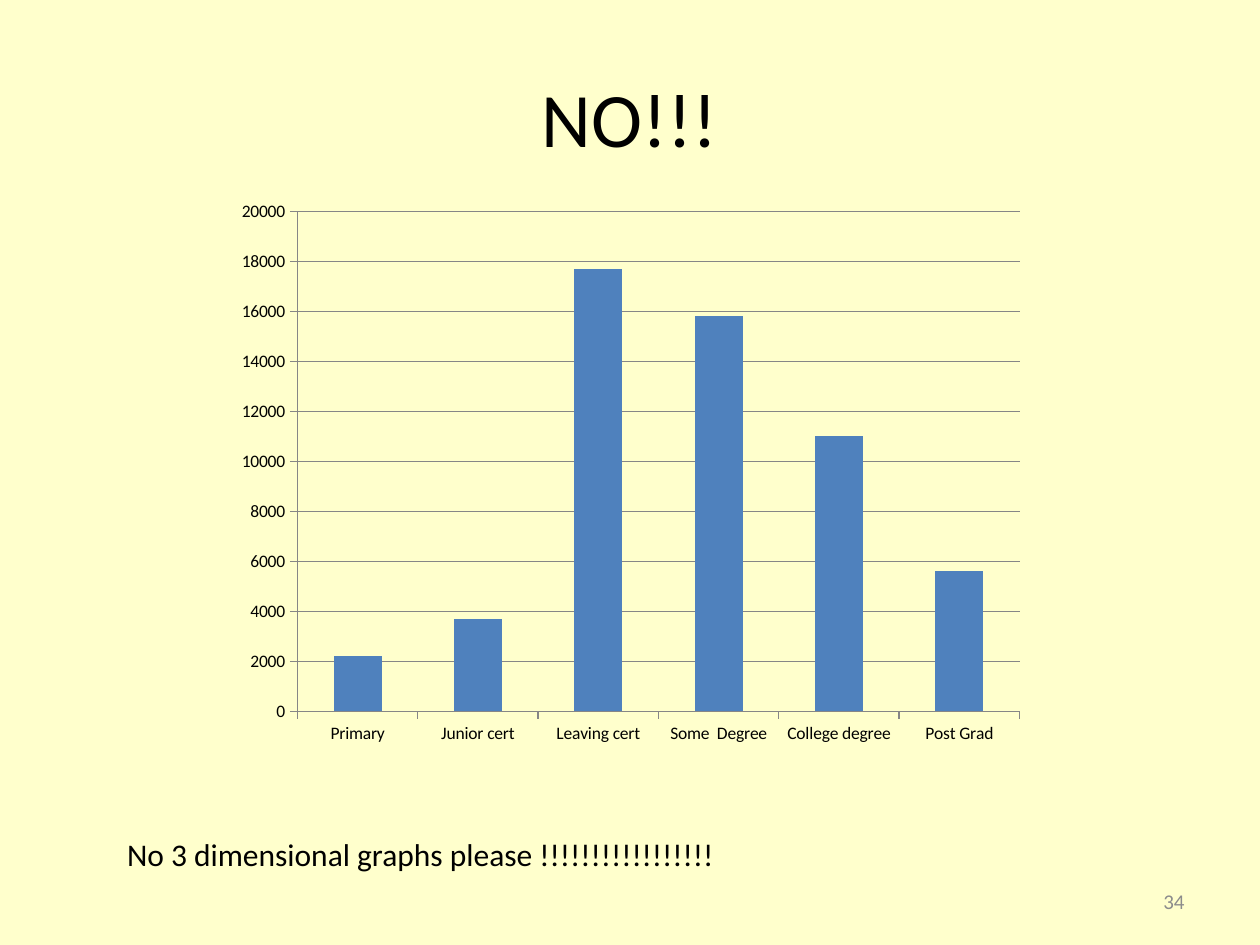
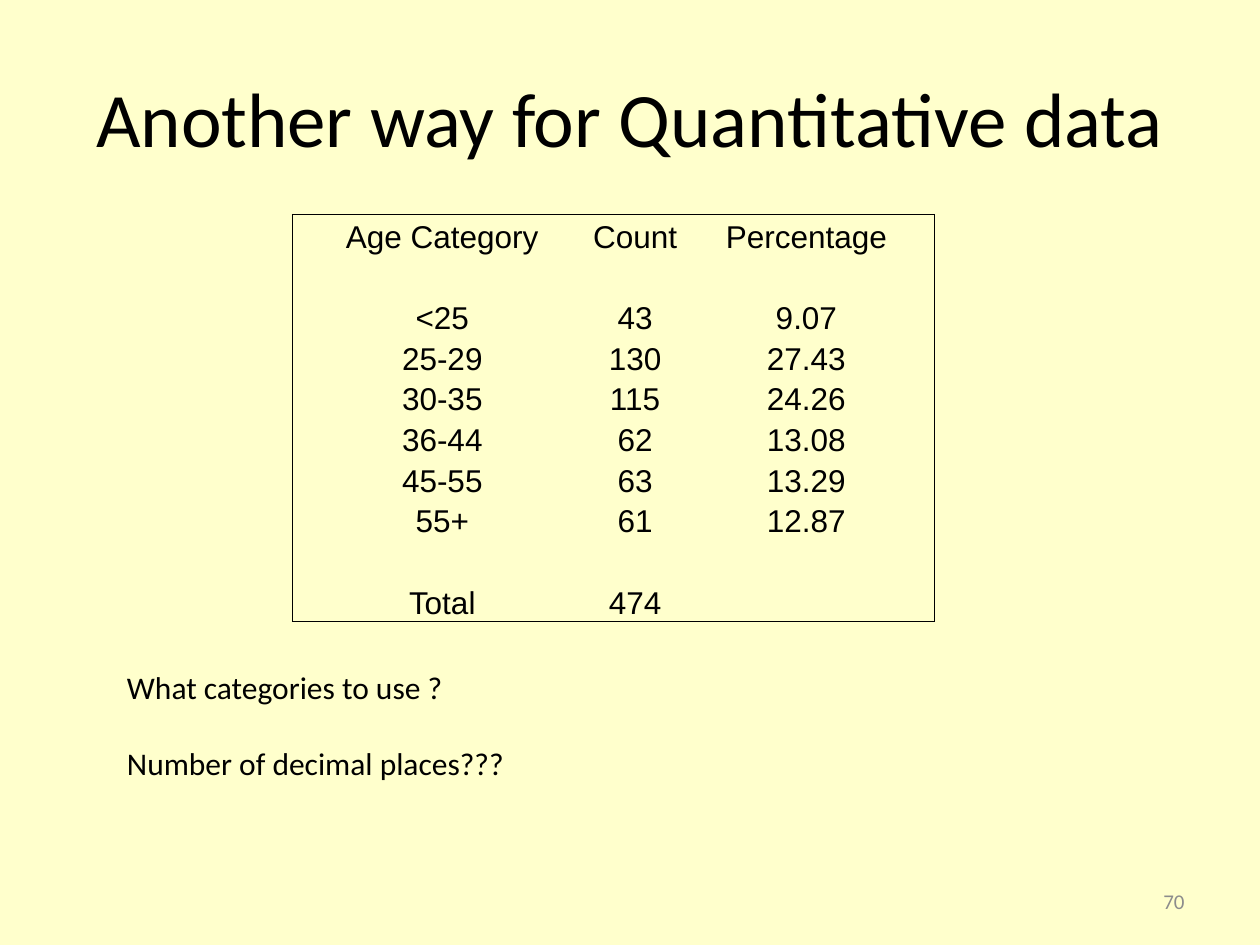
from dataclasses import dataclass
from lxml.etree import SubElement
from pptx import Presentation
from pptx.chart.data import CategoryChartData as ChartData
from pptx.dml.color import RGBColor as RGB
from pptx.enum.chart import XL_CHART_TYPE as Kind, XL_TICK_MARK as Tick
from pptx.enum.text import MSO_ANCHOR as Anchor, PP_ALIGN as Align
from pptx.oxml.ns import qn
from pptx.util import Inches, Pt


@dataclass(frozen=True)
class Theme:
    page: RGB = RGB(0xFF, 0xFF, 0xCC)
    ink: RGB = RGB(0, 0, 0)
    faint: RGB = RGB(0x8C, 0x8C, 0x8C)
    axis: RGB = RGB(0x86, 0x86, 0x86)
    bar: RGB = RGB(0x4F, 0x81, 0xBD)
    font: str = "Calibri"
    grid_font: str = "Arial"
    title: int = 44
    text: int = 18
    foot: int = 12
    label: int = 10
    rule: float = 0.5


theme = Theme()

LEVELS = [
    ("Primary", 2200),
    ("Junior cert", 3700),
    ("Leaving cert", 17700),
    ("Some  Degree", 15800),
    ("College degree", 11000),
    ("Post Grad", 5600),
]
AGES = [
    ("Age Category", "Count", "Percentage"),
    ("", "", ""),
    ("<25", "43", "9.07"),
    ("25-29", "130", "27.43"),
    ("30-35", "115", "24.26"),
    ("36-44", "62", "13.08"),
    ("45-55", "63", "13.29"),
    ("55+", "61", "12.87"),
    ("", "", ""),
    ("Total", "474", ""),
]
WIDTHS = [2.38, 0.68, 2.04]
CHART_BOX = (1.79, 1.51, 6.43, 4.48)
TABLE_BOX = (2.32, 1.7, sum(WIDTHS), 3.23)
FOOT_BOX = (7.17, 6.95, 2.33, 0.4)


def place(box):
    return [Inches(n) for n in box]


def style(font, size, color=theme.ink, name=theme.font):
    font.size = Pt(size)
    font.name = name
    font.color.rgb = color


def style_runs(para, *look):
    for run in para.runs:
        style(run.font, *look)


def add_text(slide, box, lines, size=theme.text, color=theme.ink,
             align=Align.LEFT, anchor=Anchor.TOP, wrap=False):
    frame = slide.shapes.add_textbox(*place(box)).text_frame
    frame.word_wrap = wrap
    frame.vertical_anchor = anchor
    frame.text = "\n".join(lines)
    for i, para in enumerate(frame.paragraphs):
        para.alignment = align
        if i:
            para.space_before = Pt(size * 1.22)
        style_runs(para, size, color)


def add_slide(deck, title, number):
    slide = deck.slides.add_slide(deck.slide_layouts[5])
    fill = slide.background.fill
    fill.solid()
    fill.fore_color.rgb = theme.page
    head = slide.shapes.title
    head.left, head.top, head.width, head.height = place((0.5, 0.3, 9, 1.25))
    head.text_frame.text = title
    head.text_frame.vertical_anchor = Anchor.MIDDLE
    para = head.text_frame.paragraphs[0]
    para.alignment = Align.CENTER
    style_runs(para, theme.title)
    add_text(slide, FOOT_BOX, [number], theme.foot, theme.faint,
             Align.RIGHT, Anchor.MIDDLE, True)
    return slide


def draw_line(line):
    line.color.rgb = theme.axis
    line.width = Pt(0.75)


def add_bars(slide):
    names, counts = zip(*LEVELS)
    data = ChartData()
    data.categories = names
    data.add_series("Series 1", counts)
    chart = slide.shapes.add_chart(
        Kind.COLUMN_CLUSTERED, *place(CHART_BOX), data).chart
    chart.has_legend = chart.has_title = False
    style(chart.font, theme.label)
    for axis in (chart.category_axis, chart.value_axis):
        axis.major_tick_mark = Tick.OUTSIDE
        axis.minor_tick_mark = Tick.NONE
        draw_line(axis.format.line)
    scale = chart.value_axis
    scale.minimum_scale, scale.maximum_scale = 0, 20000
    scale.major_unit = 2000
    scale.has_major_gridlines = True
    draw_line(scale.major_gridlines.format.line)
    plot = chart.plots[0]
    plot.gap_width = 150
    plot.vary_by_categories = False
    fill = plot.series[0].format.fill
    fill.solid()
    fill.fore_color.rgb = theme.bar


def set_edges(cell, edges):
    props = cell._tc.get_or_add_tcPr()
    for side, shown in edges.items():
        line = SubElement(props, qn("a:ln" + side), w=str(Pt(theme.rule)))
        if shown:
            fill = SubElement(line, qn("a:solidFill"))
            SubElement(fill, qn("a:srgbClr"), val=str(theme.ink))
        else:
            SubElement(line, qn("a:noFill"))


def add_ages(slide):
    rows, cols = len(AGES), len(WIDTHS)
    table = slide.shapes.add_table(rows, cols, *place(TABLE_BOX)).table
    table.first_row = table.horz_banding = False
    for col, width in zip(table.columns, WIDTHS):
        col.width = Inches(width)
    for r, row in enumerate(AGES):
        for c, text in enumerate(row):
            cell = table.cell(r, c)
            cell.margin_left = cell.margin_right = 0
            cell.margin_top = cell.margin_bottom = 0
            cell.vertical_anchor = Anchor.BOTTOM
            set_edges(cell, {"L": c == 0, "R": c == cols - 1,
                             "T": r == 0, "B": r == rows - 1})
            cell.fill.background()
            cell.text_frame.text = text
            para = cell.text_frame.paragraphs[0]
            para.alignment = Align.CENTER
            style_runs(para, theme.text, theme.ink, theme.grid_font)


def main():
    deck = Presentation()
    deck.slide_width, deck.slide_height = Inches(10), Inches(7.5)

    slide = add_slide(deck, "NO!!!", "34")
    add_bars(slide)
    add_text(slide, (0.91, 6.58, 4.88, 0.4),
             ["No 3 dimensional graphs please !!!!!!!!!!!!!!!!!"])

    slide = add_slide(deck, "Another way for Quantitative data", "70")
    add_ages(slide)
    add_text(slide, (0.91, 5.25, 3.23, 1.01),
             ["What categories to use ?", "Number of decimal places???"])

    deck.save("out.pptx")


if __name__ == "__main__":
    main()
